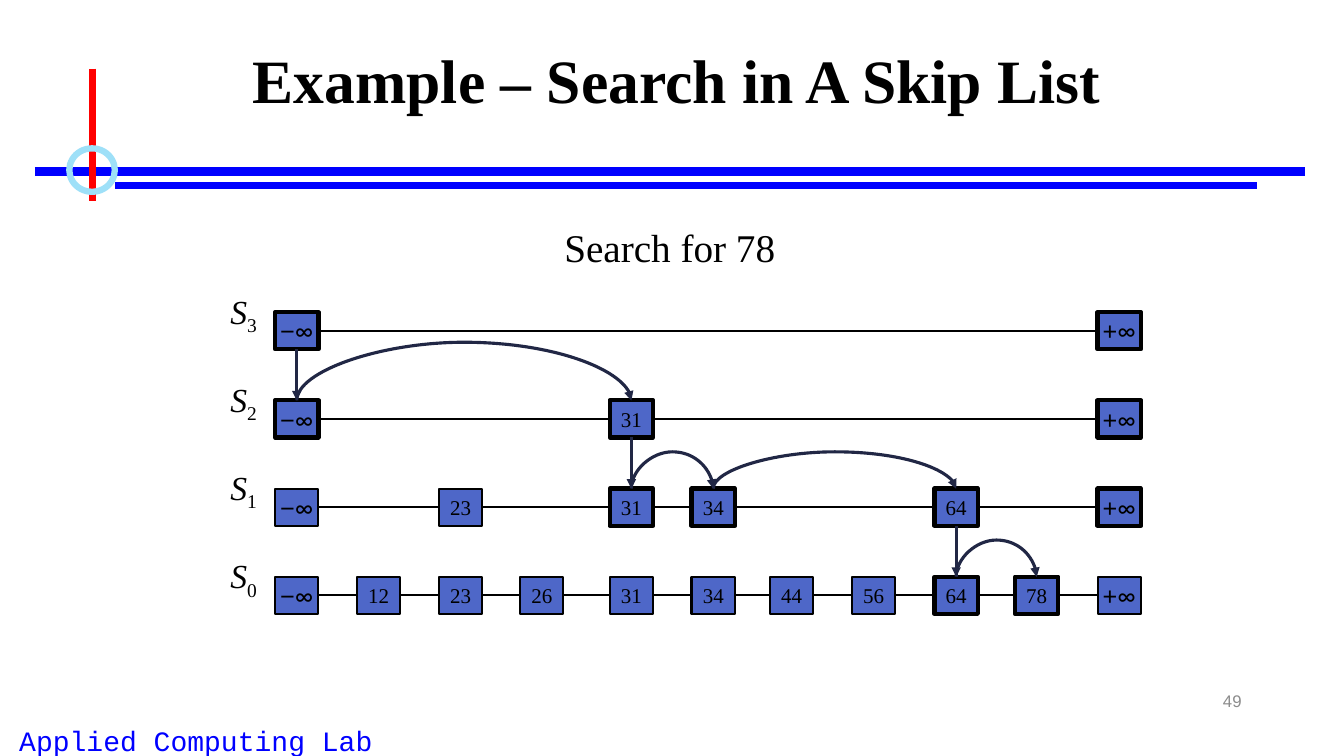
from lxml import etree
from pptx import Presentation
from pptx import util as u
from pptx.dml.color import RGBColor
from pptx.enum import shapes, text
from pptx.oxml import ns

Pt = u.Pt
LINE, CURVE = shapes.MSO_CONNECTOR.STRAIGHT, shapes.MSO_CONNECTOR.CURVE
MID, TOP = text.MSO_ANCHOR.MIDDLE, text.MSO_ANCHOR.TOP
ALIGN = {"l": text.PP_ALIGN.LEFT, "c": text.PP_ALIGN.CENTER, "r": text.PP_ALIGN.RIGHT}


class Theme:
    ink, blue, red, ring = "000000", "0000FF", "FF0000", "9EE0F8"
    node, path_ink, grey = "4E67C8", "212745", "8C8C8C"
    serif, sans, mono, sign = "Times New Roman", "Arial", "Courier New", "Lato"
    title, search, label, foot, inf, key, page = 44, 28, 24, 20, 18, 15, 12
    thin, arrow, thick, rule, bar = 1.5, 2.25, 3, 4.5, 6


# Columns of the list, left edges relative to the diagram
COLS = {"−∞": 0, "12": 58.5, "23": 117, "26": 175, "31": 239, "34": 297.5,
        "44": 353.5, "56": 412, "64": 471, "78": 528.5, "+∞": 587.5}
# Each level from the top: its keys, and those visited or outlined
LEVELS = [
    ("−∞ +∞", "−∞ +∞"),
    ("−∞ 31 +∞", "−∞ 31 +∞"),
    ("−∞ 23 31 34 64 +∞", "31 34 64 +∞"),
    ("−∞ 12 23 26 31 34 44 56 64 78 +∞", "64 78"),
]
DROPS = [("−∞", 0), ("31", 1), ("64", 2)]
HOPS = [("−∞", "31", 1, 209), ("31", "34", 2, 132),
        ("34", "64", 2, 132), ("64", "78", 3, 132)]


def write(shape, runs, size, font=Theme.serif, color=Theme.ink, align="l",
          anchor=TOP, wrap=False, bold=False, space=None):
    """Fill a shape with runs; a run is (text, overrides)."""
    frame = shape.text_frame
    frame.word_wrap, frame.vertical_anchor = wrap, anchor
    para = frame.paragraphs[0]
    para.alignment = ALIGN[align]
    if space:
        para.line_spacing = space
    for words, extra in [(runs, {})] if isinstance(runs, str) else runs:
        run = para.add_run()
        run.text = words
        run.font.size, run.font.bold = Pt(size), bold
        run.font.name = extra.get("font", font)
        run.font.italic = extra.get("italic", False)
        run.font.color.rgb = RGBColor.from_string(color)
        if "base" in extra:
            run._r.get_or_add_rPr().set("baseline", str(extra["base"]))


def label(slide, box, runs, size, **style):
    write(slide.shapes.add_textbox(*map(Pt, box)), runs, size, **style)


def shape(slide, kind, box, line, width, fill=None):
    item = slide.shapes.add_shape(kind, *map(Pt, box))
    item.shadow.inherit = False
    if fill:
        item.fill.solid()
        item.fill.fore_color.rgb = RGBColor.from_string(fill)
    else:
        item.fill.background()
    item.line.color.rgb = RGBColor.from_string(line)
    item.line.width = Pt(width)
    return item


def wire(slide, ends, color, width, kind=LINE, head=False):
    item = slide.shapes.add_connector(kind, *map(Pt, ends))
    item.line.color.rgb = RGBColor.from_string(color)
    item.line.width = Pt(width)
    if head:
        tail = etree.SubElement(item.line._get_or_add_ln(), ns.qn("a:tailEnd"))
        tail.set("type", "triangle")
    etree.SubElement(item._element.spPr, ns.qn("a:effectLst"))
    return item


def join(slide, first, last, sites, color, width, **style):
    item = wire(slide, (0, 0, 0, 0), color, width, **style)
    item.begin_connect(first, sites[0])
    item.end_connect(last, sites[1])
    return item


def hop(slide, first, last, rise):
    """Arc from the top of one node to the top of another."""
    arc = join(slide, first, last, (0, 0), Theme.path_ink, Theme.arrow,
               kind=CURVE, head=True)
    start = first.left + first.width // 2
    end = last.left + last.width // 2
    # A quarter turn makes the thin side of the box the arc's base
    arc.width, arc.height = Pt(0.2), end - start
    arc.left = (start + end - arc.width) // 2
    arc.top = first.top - (end - start) // 2
    props = arc._element.spPr
    frame = props.find(ns.qn("a:xfrm"))
    frame.attrib.pop("flipH", None)
    frame.set("rot", "5400000")
    frame.set("flipV", "1")
    geom = props.find(ns.qn("a:prstGeom"))
    values = geom.find(ns.qn("a:avLst"))
    if values is None:
        values = etree.SubElement(geom, ns.qn("a:avLst"))
    guide = etree.SubElement(values, ns.qn("a:gd"))
    guide.set("name", "adj1")
    guide.set("fmla", f"val {-rise * 100000}")


def header(slide, x, y, w):
    # Rules, cross and ring
    wire(slide, (x, y + 73.5, x + w, y + 73.5), Theme.blue, Theme.bar)
    wire(slide, (x + 57, y + 83.5, x + w - 34.5, y + 83.5), Theme.blue, Theme.rule)
    wire(slide, (x + 41, y, x + 41, y + 94.5), Theme.red, Theme.rule)
    shape(slide, shapes.MSO_SHAPE.OVAL, (x + 24.5, y + 57, 32.5, 31),
          Theme.ring, Theme.rule)
    # Title
    label(slide, (x + 148.5, y - 34, 641, 90), "Example – Search in A Skip List",
          Theme.title, bold=True, anchor=MID, wrap=True, space=0.9)


def footer(slide, x, y, w):
    label(slide, (x, y + 27, 280, 27), "Applied Computing Lab", Theme.foot,
          font=Theme.mono, color=Theme.blue, align="c", wrap=True)
    label(slide, (w - 282, y, 216, 29), "49", Theme.page, font=Theme.sans,
          color=Theme.grey, align="r", anchor=MID, wrap=True)


def diagram(slide, x, y, pitch):
    label(slide, (x + 199.5, y - 67, 166, 41), "Search for 78", Theme.search)
    nodes = {}
    for level, (keys, marked) in enumerate(LEVELS):
        top = y + level * pitch
        label(slide, (x - 40.5, top - 19, 36, 36),
              [("S", {"italic": True}), (str(3 - level), {"base": -25000})],
              Theme.label, align="c")
        # Nodes, each linked to the one before
        last = None
        for key in keys.split():
            width = Theme.thick if key in marked.split() else Theme.thin
            node = shape(slide, shapes.MSO_SHAPE.RECTANGLE,
                         (x + COLS[key], top, 31, 26.5), Theme.ink, width, Theme.node)
            if "∞" in key:
                write(node, [(key[0], {}), (key[1], {"font": Theme.sign})],
                      Theme.inf, font=Theme.sans, align="c", anchor=MID)
            else:
                write(node, key, Theme.key, align="c", anchor=MID)
            if last is not None:
                join(slide, last, node, (3, 1), Theme.ink, Theme.thin)
            nodes[key, level] = last = node
    # Search path
    for key, level in DROPS:
        join(slide, nodes[key, level], nodes[key, level + 1], (2, 0),
             Theme.path_ink, Theme.arrow, head=True)
    for first, last, level, rise in HOPS:
        hop(slide, nodes[first, level], nodes[last, level], rise)


def main():
    deck = Presentation()
    deck.slide_width, deck.slide_height = Pt(960), Pt(540)
    slide = deck.slides.add_slide(deck.slide_layouts[6])
    header(slide, 25, 49, 907.5)
    diagram(slide, 196.5, 223, 63)
    footer(slide, 0, 486, 960)
    deck.save("out.pptx")


if __name__ == "__main__":
    main()
